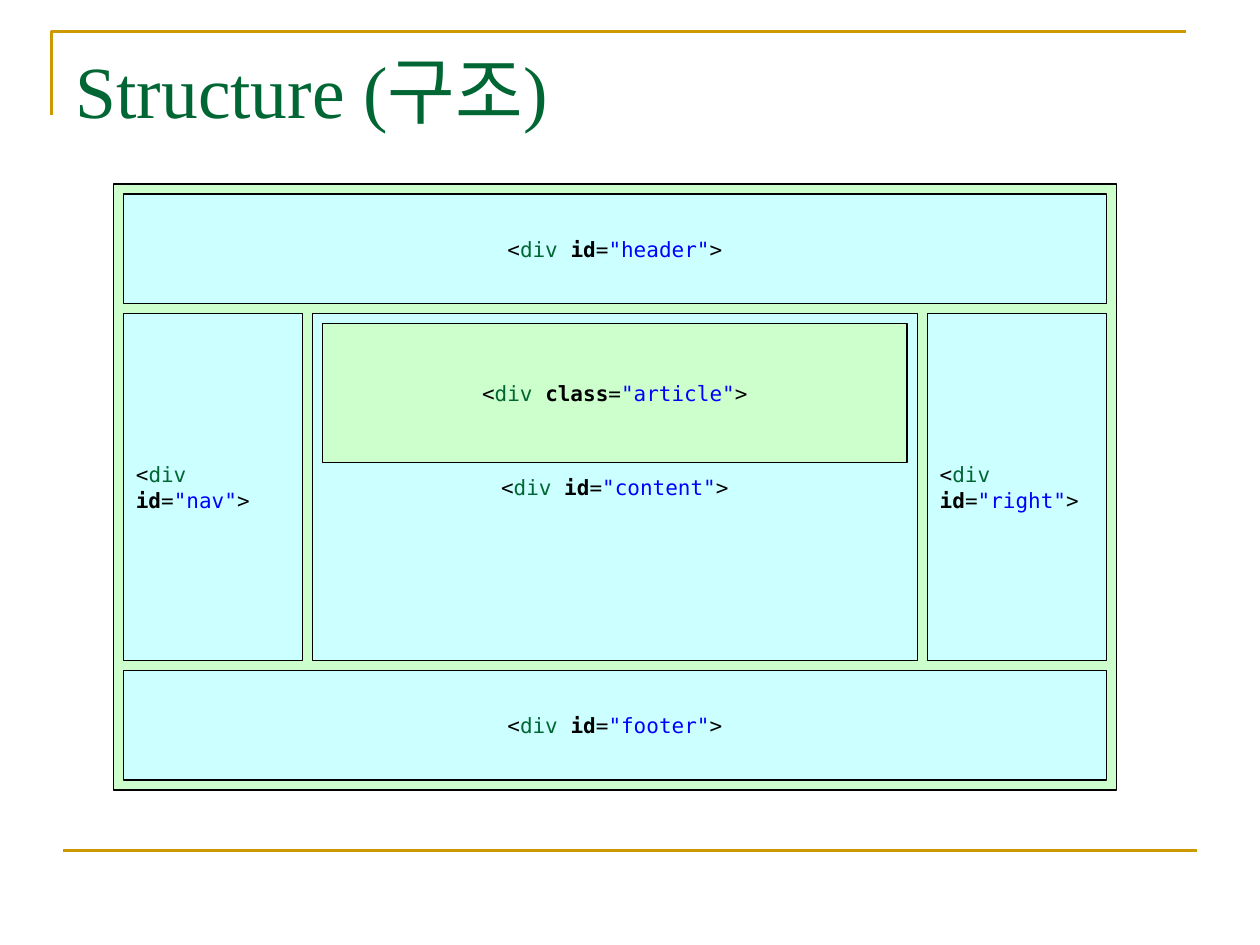
"""Build a slide showing the div structure of a web page as nested panels."""
from lxml.etree import SubElement
from pptx import Presentation
from pptx.dml.color import RGBColor
from pptx.enum.shapes import MSO_CONNECTOR, MSO_SHAPE
from pptx.enum.text import MSO_ANCHOR, PP_ALIGN
from pptx.oxml.ns import qn
from pptx.util import Inches, Pt

COLORS = {
    "gold": "CC9900",
    "green": "006633",
    "mint": "CCFFCC",
    "aqua": "CCFFFF",
    "blue": "0000FF",
    "black": "000000",
}


def rgb(name):
    return RGBColor.from_string(COLORS[name])


def add_panel(slide, box, fill, lines=(), align=PP_ALIGN.CENTER):
    panel = slide.shapes.add_shape(MSO_SHAPE.RECTANGLE, *map(Inches, box))
    panel.shadow.inherit = False
    panel.fill.solid()
    panel.fill.fore_color.rgb = rgb(fill)
    panel.line.color.rgb = rgb("black")
    panel.line.width = Pt(0.75)
    frame = panel.text_frame
    frame.word_wrap = False
    frame.vertical_anchor = MSO_ANCHOR.MIDDLE
    for number, pieces in enumerate(lines):
        paragraph = frame.add_paragraph() if number else frame.paragraphs[0]
        paragraph.alignment = align
        for text, color, bold in pieces:
            run = paragraph.add_run()
            run.text = text
            run.font.name = "DejaVu Sans Mono"
            run.font.size = Pt(12)
            run.font.bold = bold
            run.font.color.rgb = rgb(color)


prs = Presentation()
prs.slide_width, prs.slide_height = Inches(10), Inches(7.5)
slide = prs.slides.add_slide(prs.slide_layouts[5])

corner = slide.shapes.build_freeform(Inches(0.41), Inches(0.91))
corner.add_line_segments(
    [(Inches(0.41), Inches(0.25)), (Inches(9.41), Inches(0.25))], close=False
)
corner_line = corner.convert_to_shape()
corner_line.shadow.inherit = False
corner_line.fill.background()

bottom_rule = slide.shapes.add_connector(
    MSO_CONNECTOR.STRAIGHT, Inches(0.5), Inches(6.75), Inches(9.5), Inches(6.75)
)
SubElement(bottom_rule._element.spPr, qn("a:effectLst"))
for rule in (corner_line, bottom_rule):
    rule.line.color.rgb = rgb("gold")
    rule.line.width = Pt(1.5)

left, top, full_width, gap = 0.98, 1.54, 7.8, 0.08
side_width, band_height, middle_height = 1.42, 0.87, 2.75
middle_top = top + band_height + gap
footer_top = middle_top + middle_height + gap
content_left = left + side_width + gap
content_width = full_width - 2 * (side_width + gap)
right_left = content_left + content_width + gap

add_panel(slide, (left - gap, top - gap, full_width + 2 * gap, 4.81), "mint")
panels = [
    ("id", "header", (left, top, full_width, band_height), "aqua"),
    ("id", "footer", (left, footer_top, full_width, band_height), "aqua"),
    ("id", "content", (content_left, middle_top, content_width, middle_height), "aqua"),
    ("id", "nav", (left, middle_top, side_width, middle_height), "aqua"),
    ("id", "right", (right_left, middle_top, side_width, middle_height), "aqua"),
    (
        "class",
        "article",
        (content_left + gap, middle_top + gap, content_width - 2 * gap, 1.1),
        "mint",
    ),
]
for attribute, value, box, fill in panels:
    selector = [
        (attribute, "black", True),
        ("=", "black", False),
        (f'"{value}"', "blue", False),
        (">", "black", False),
    ]
    if value in ("nav", "right"):
        tag = [("<", "black", False), ("div", "green", False)]
        add_panel(slide, box, fill, [tag, selector], PP_ALIGN.LEFT)
    else:
        tag = [("<", "black", False), ("div ", "green", False)]
        add_panel(slide, box, fill, [tag + selector])

title = slide.shapes.title
title.left, title.top = Inches(0.5), Inches(0.31)
title.width, title.height = Inches(9), Inches(1.1)
title.text_frame.text = "Structure (구조)"
title.text_frame.vertical_anchor = MSO_ANCHOR.TOP
heading = title.text_frame.paragraphs[0]
heading.alignment = PP_ALIGN.LEFT
heading_font = heading.runs[0].font
heading_font.name = "Times New Roman"
heading_font.size = Pt(42)
heading_font.color.rgb = rgb("green")

prs.save("out.pptx")
